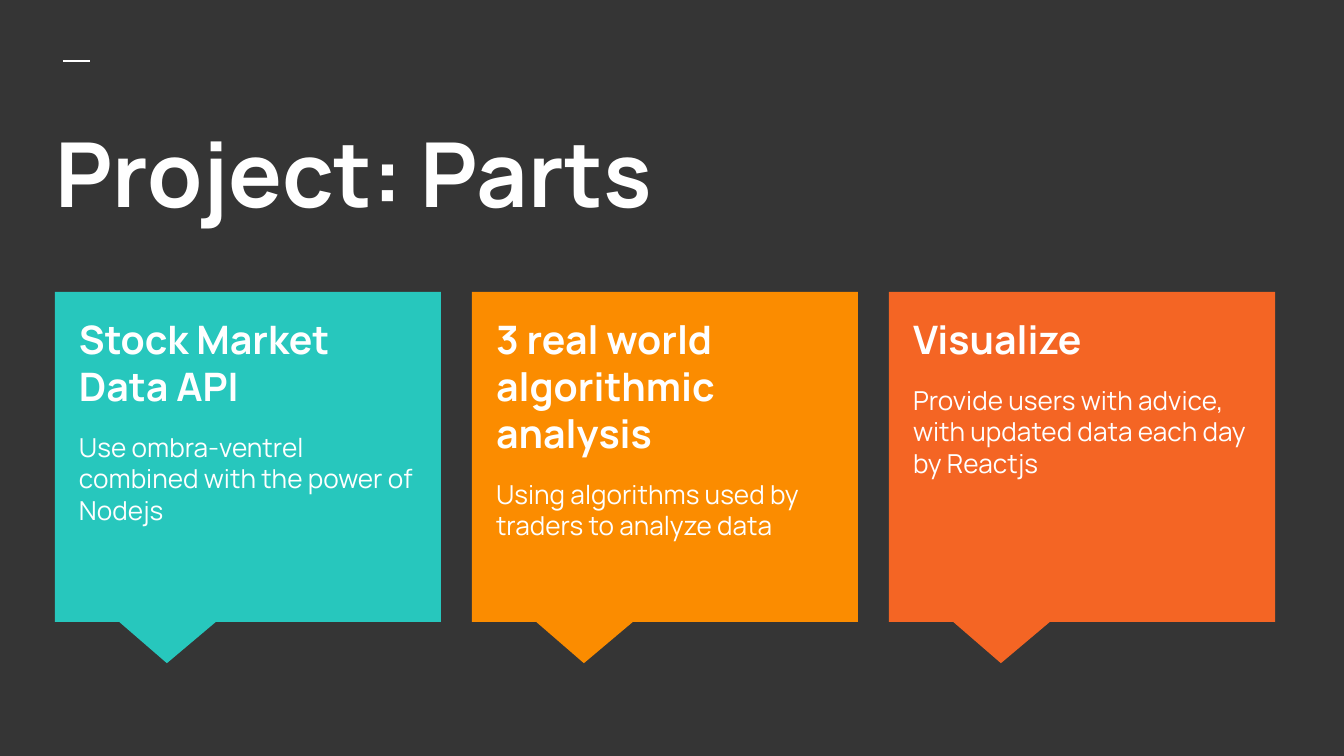
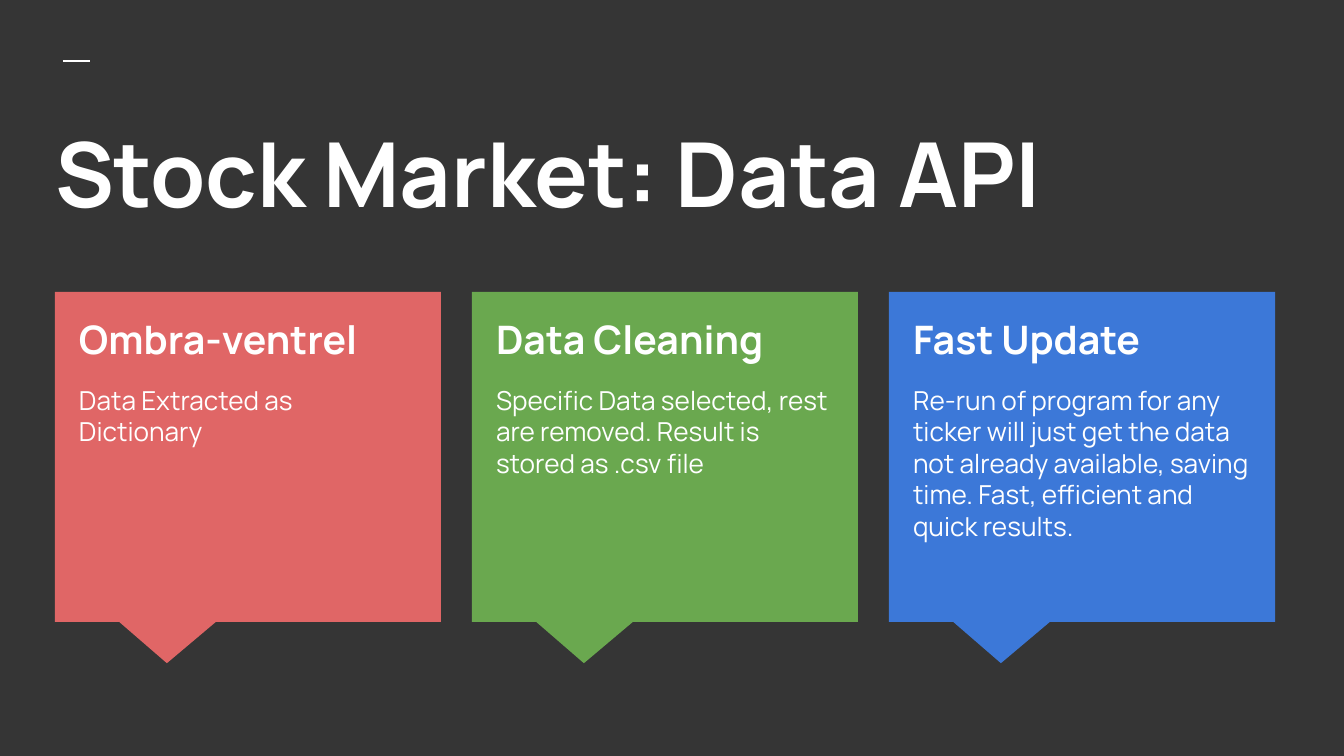
"""Build two dark slides, each with a title and three callout cards."""
import pptx
import pptx.dml.color
import pptx.enum.shapes
import pptx.enum.text
import pptx.oxml
import pptx.oxml.ns
import pptx.util

SLIDES = [
    ("Project: Parts", [
        ("27C7BD", "Stock Market Data API",
         "Use ombra-ventrel combined with the power of Nodejs"),
        ("FB8C00", "3 real world algorithmic analysis",
         "Using algorithms used by traders to analyze data"),
        ("F46524", "Visualize",
         "Provide users with advice, with updated data each day by Reactjs"),
    ]),
    ("Stock Market: Data API", [
        ("E06666", "Ombra-ventrel", "Data Extracted as Dictionary"),
        ("6AA84F", "Data Cleaning",
         "Specific Data selected, rest are removed. Result is stored as .csv file"),
        ("3C78D8", "Fast Update",
         "Re-run of program for any ticker will just get the data not already available, "
         "saving time. Fast, efficient and quick results."),
    ]),
]

THEME = {
    "background": "353535", "ink": "FFFFFF", "font": "Manrope", "rule": 1.5,
    "title": {"size": 48, "bold": True},
    "heading": {"size": 21, "bold": True},
    "detail": {"size": 14, "bold": False, "space": 12},
}

SLIDE_W, SLIDE_H = 1344, 756
SCALE = 9144000 / SLIDE_W
RULE = (63, 61, 90, 61)
TITLE_BOX = (42, 105, 1267, 151)
CARD_LEFT, CARD_TOP, CARD_W, CARD_H, CARD_PITCH = 55, 292, 386, 330, 417
TEXT_DX, TEXT_DY, TEXT_W, TEXT_H = 11, 10, 364, 294
INSET = 13
CALLOUT_TIP = (-0.21, 0.625)
COMPARISON_LAYOUT = 4


def px(*lengths):
    return [pptx.util.Emu(round(n * SCALE)) for n in lengths]


def rgb(name):
    return pptx.dml.color.RGBColor.from_string(name)


def set_all(obj, values):
    for name, value in values.items():
        setattr(obj, name, value)


def write(sp, box, lines):
    set_all(sp, dict(zip(("left", "top", "width", "height"), px(*box))))
    tf = sp.text_frame
    inset = px(INSET)[0]
    set_all(tf, {
        "word_wrap": True,
        "auto_size": pptx.enum.text.MSO_AUTO_SIZE.NONE,
        "vertical_anchor": pptx.enum.text.MSO_ANCHOR.TOP,
        "margin_left": inset, "margin_top": inset,
        "margin_right": inset, "margin_bottom": inset,
    })
    for i, (text, role) in enumerate(lines):
        style = THEME[role]
        p = tf.paragraphs[0] if i == 0 else tf.add_paragraph()
        space = pptx.util.Pt(style.get("space", 0))
        set_all(p, {"alignment": pptx.enum.text.PP_ALIGN.LEFT, "line_spacing": 1.0,
                    "space_before": space, "space_after": space})
        pPr = p._p.get_or_add_pPr()
        pPr.set("marL", "0")
        pPr.set("indent", "0")
        pPr.append(pptx.oxml.parse_xml(f'<a:buNone {pptx.oxml.ns.nsdecls("a")}/>'))
        r = p.add_run()
        r.text = text
        set_all(r.font, {"name": THEME["font"], "size": pptx.util.Pt(style["size"]),
                         "bold": style["bold"]})
        r.font.color.rgb = rgb(THEME["ink"])


def add_rule(slide):
    line = slide.shapes.add_connector(pptx.enum.shapes.MSO_CONNECTOR.STRAIGHT, *px(*RULE))
    line.line.color.rgb = rgb(THEME["ink"])
    line.line.width = pptx.util.Pt(THEME["rule"])
    line.element.spPr.append(
        pptx.oxml.parse_xml(f'<a:effectLst {pptx.oxml.ns.nsdecls("a")}/>'))


def add_card(slide, left, color):
    card = slide.shapes.add_shape(
        pptx.enum.shapes.MSO_SHAPE.RECTANGULAR_CALLOUT,
        *px(left, CARD_TOP, CARD_W, CARD_H))
    card.shadow.inherit = False
    card.fill.solid()
    card.fill.fore_color.rgb = rgb(color)
    card.line.fill.background()
    for i, value in enumerate(CALLOUT_TIP):
        card.adjustments[i] = value


def add_slide(prs, title, cards):
    slide = prs.slides.add_slide(prs.slide_layouts[COMPARISON_LAYOUT])
    title_sp, *bodies = slide.placeholders
    tree = slide.shapes.element
    add_rule(slide)
    write(title_sp, TITLE_BOX, [(title, "title")])
    for i, ((color, heading, detail), body) in enumerate(zip(cards, bodies)):
        left = CARD_LEFT + i * CARD_PITCH
        add_card(slide, left, color)
        tree.append(body.element)
        write(body, (left + TEXT_DX, CARD_TOP + TEXT_DY, TEXT_W, TEXT_H),
              [(heading, "heading"), (detail, "detail")])
    for spare in bodies[len(cards):]:
        tree.remove(spare.element)


def main():
    prs = pptx.Presentation()
    prs.slide_width, prs.slide_height = px(SLIDE_W, SLIDE_H)
    fill = prs.slide_master.background.fill
    fill.solid()
    fill.fore_color.rgb = rgb(THEME["background"])
    for title, cards in SLIDES:
        add_slide(prs, title, cards)
    prs.save("out.pptx")


if __name__ == "__main__":
    main()
